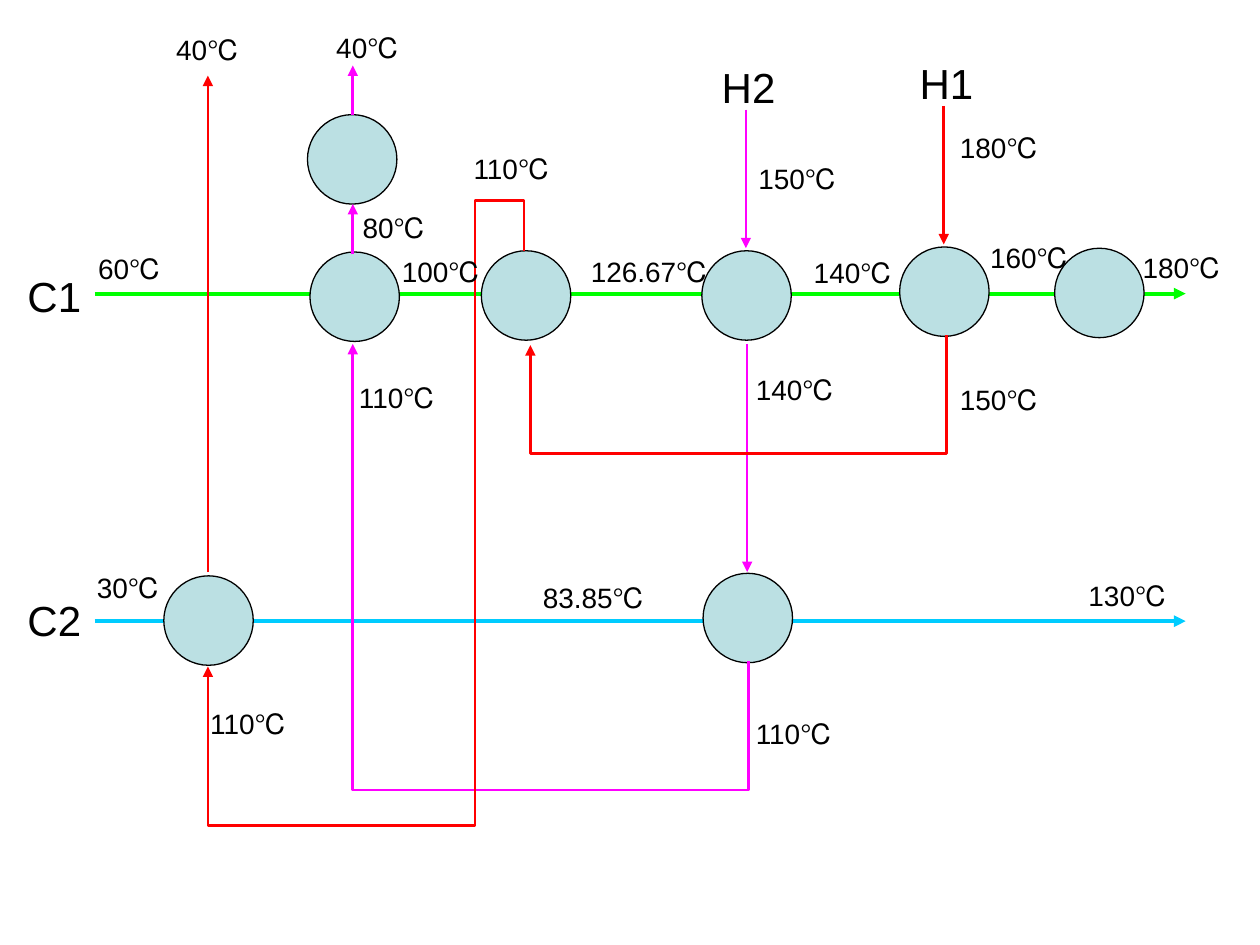
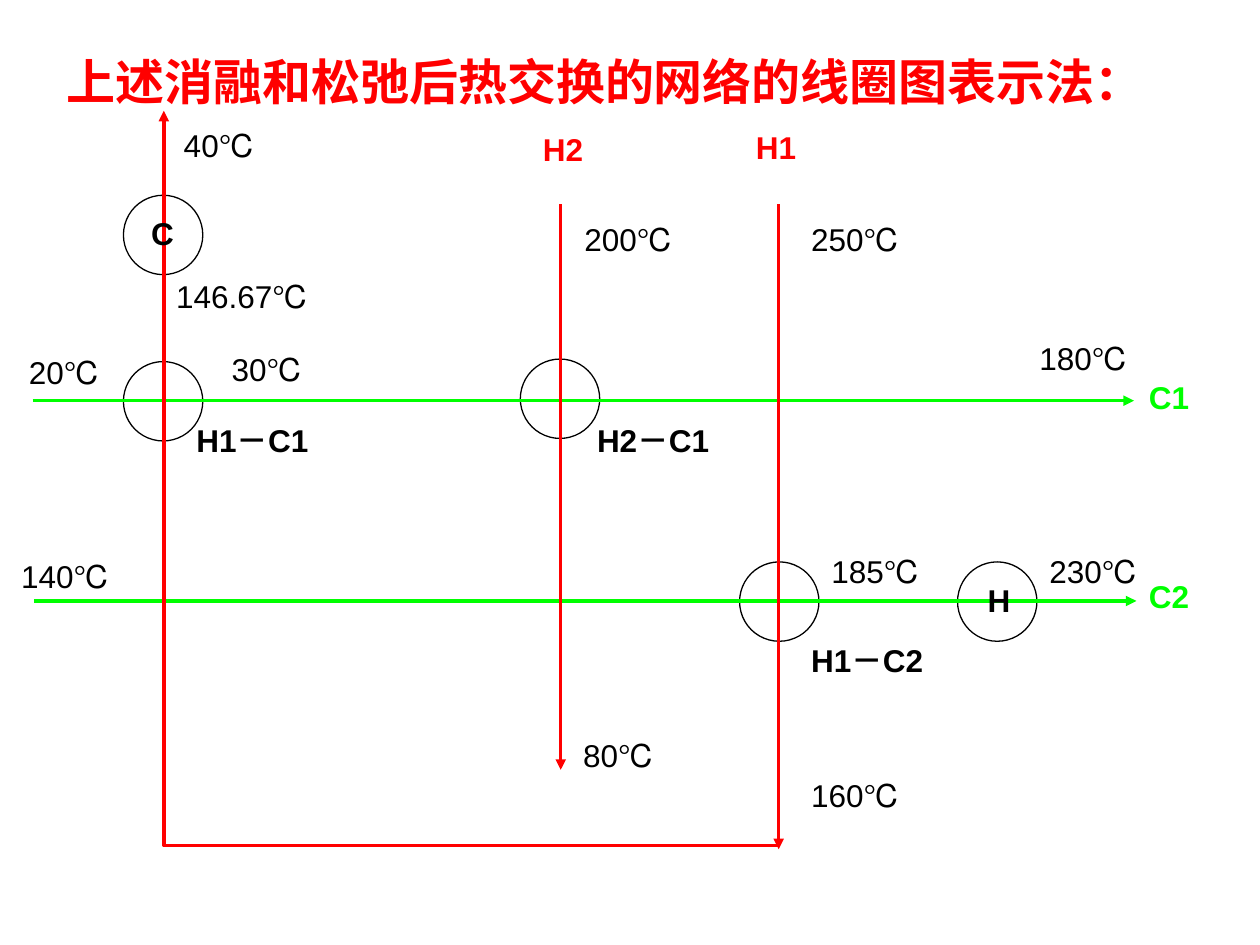
from lxml import etree
from pptx import Presentation
from pptx.dml.color import RGBColor
from pptx.enum.shapes import MSO_CONNECTOR, MSO_SHAPE
from pptx.enum.text import MSO_ANCHOR, MSO_AUTO_SIZE, PP_ALIGN
from pptx.oxml.ns import qn
from pptx.util import Pt

STRAIGHT = MSO_CONNECTOR.STRAIGHT
ELLIPSE = MSO_SHAPE.OVAL
TOP = MSO_ANCHOR.TOP
LEFT = PP_ALIGN.LEFT
GROW = MSO_AUTO_SIZE.SHAPE_TO_FIT_TEXT
FIXED = MSO_AUTO_SIZE.NONE

EMU_PER_PX = 9144
TITLE_ONLY, BLANK = 5, 6
FONT = "Arial"
BLACK, RED, MAGENTA = "000000", "FF0000", "FF00FF"
GREEN, CYAN, PALE = "00FF00", "00CCFF", "BBE0E3"


def px(value):
    return round(value * EMU_PER_PX)


def color(hex_string):
    return RGBColor.from_string(hex_string)


def set_attributes(target, values):
    for name, value in values.items():
        setattr(target, name, value)


class Diagram:
    def __init__(self, presentation, layout, label_size, line_width):
        self.slide = presentation.slides.add_slide(presentation.slide_layouts[layout])
        self.shapes = self.slide.shapes
        self.label_size = label_size
        self.line_width = line_width

    def fill_text(self, shape, text, size, text_color, bold, auto_size):
        frame = shape.text_frame
        set_attributes(frame, {
            "word_wrap": True, "vertical_anchor": TOP, "auto_size": auto_size,
            "margin_left": px(10), "margin_right": px(10),
            "margin_top": px(5), "margin_bottom": px(5),
        })
        frame.text = text
        paragraph = frame.paragraphs[0]
        set_attributes(paragraph, {"alignment": LEFT, "space_before": Pt(0)})
        set_attributes(paragraph.font, {"name": FONT, "size": Pt(size), "bold": bold})
        paragraph.font.color.rgb = color(text_color)

    def title(self, text, left, top, width, height):
        shape = self.shapes.title
        set_attributes(shape, {
            "left": px(left), "top": px(top), "width": px(width), "height": px(height),
        })
        self.fill_text(shape, text, 28, RED, True, FIXED)

    def label(self, text, left, top, width, height, size=None, text_color=BLACK, bold=False):
        shape = self.shapes.add_textbox(px(left), px(top), px(width), px(height))
        self.fill_text(shape, text, size or self.label_size, text_color, bold, GROW)

    def circle(self, left, top, diameter, fill=None):
        shape = self.shapes.add_shape(ELLIPSE, px(left), px(top), px(diameter), px(diameter))
        shape.shadow.inherit = False
        if fill:
            shape.fill.solid()
            shape.fill.fore_color.rgb = color(fill)
        else:
            shape.fill.background()
        self.stroke(shape, BLACK, 0.75)

    def stroke(self, shape, line_color, width):
        shape.line.color.rgb = color(line_color)
        shape.line.width = Pt(width)

    def arrowhead(self, shape):
        outline = shape.line._get_or_add_ln()
        etree.SubElement(outline, qn("a:tailEnd"), type="triangle")

    def arrow(self, start, end, line_color, width=None):
        connector = self.shapes.add_connector(STRAIGHT, *map(px, start + end))
        self.stroke(connector, line_color, width or self.line_width)
        self.arrowhead(connector)
        etree.SubElement(connector._element.spPr, qn("a:effectLst"))

    def bent_arrow(self, points, line_color):
        builder = self.shapes.build_freeform(*points[0], scale=EMU_PER_PX)
        builder.add_line_segments(points[1:], close=False)
        shape = builder.convert_to_shape()
        shape.shadow.inherit = False
        shape.fill.background()
        self.stroke(shape, line_color, self.line_width)
        self.arrowhead(shape)


def build_exchanger_network(presentation):
    diagram = Diagram(presentation, BLANK, 16, 1.5)
    for y, stream_color in [(233, GREEN), (493, CYAN)]:
        diagram.arrow((75, y), (941, y), stream_color, 2.25)

    exchangers = [(714, 196), (837, 197), (382, 199), (130, 457),
                  (557, 199), (558, 455), (246, 200), (244, 91)]
    for left, top in exchangers:
        diagram.circle(left, top, 71, PALE)

    for start, end, stream_color in [
        ((749, 84), (749, 194), RED),
        ((592, 87), (592, 197), MAGENTA),
        ((593, 273), (593, 454), MAGENTA),
        ((280, 202), (280, 162), MAGENTA),
        ((280, 91), (280, 52), MAGENTA),
        ((165, 454), (165, 60), RED),
    ]:
        diagram.arrow(start, end, stream_color)

    for points, stream_color in [
        ([(594, 525), (594, 627), (280, 627), (280, 273)], MAGENTA),
        ([(751, 266), (751, 360), (421, 360), (421, 274)], RED),
        ([(416, 199), (416, 159), (377, 159), (377, 655), (165, 655), (165, 529)], RED),
    ]:
        diagram.bent_arrow(points, stream_color)

    for name, left, top in [("C1", 12, 210), ("C2", 12, 467), ("H1", 720, 41), ("H2", 563, 44)]:
        diagram.label(name, left, top, 87, 50, size=24)

    for text, left, top, width in [
        ("180℃", 752, 99, 115), ("150℃", 752, 299, 115),
        ("140℃", 636, 198, 115), ("160℃", 776, 186, 115),
        ("180℃", 897, 194, 115), ("100℃", 309, 197, 95),
        ("126.67℃", 459, 197, 115), ("150℃", 592, 123, 115),
        ("140℃", 590, 291, 115), ("60℃", 68, 195, 84),
        ("110℃", 366, 115, 95), ("110℃", 157, 556, 95),
        ("40℃", 130, 21, 95), ("30℃", 67, 448, 84),
        ("83.85℃", 421, 456, 102), ("130℃", 854, 454, 102),
        ("110℃", 590, 564, 115), ("110℃", 275, 297, 115),
        ("80℃", 278, 162, 75), ("40℃", 257, 19, 75),
    ]:
        diagram.label(text, left, top, width, 37)


def build_relaxed_network(presentation):
    diagram = Diagram(presentation, TITLE_ONLY, 18, 2)
    diagram.title("上述消融和松弛后热交换的网络的线圈图表示法：", 43, 36, 882, 57)

    for left, top in [(413, 285), (760, 446), (587, 446), (98, 287), (98, 155)]:
        diagram.circle(left, top, 63)

    for start, end, stream_color in [
        ((27, 477), (902, 477), GREEN),
        ((26, 318), (900, 318), GREEN),
        ((618, 162), (618, 674), RED),
        ((445, 162), (445, 611), RED),
    ]:
        diagram.arrow(start, end, stream_color)
    diagram.bent_arrow([(618, 671), (130, 671), (130, 88)], RED)

    for name, left, top, width, name_color in [
        ("H", 774, 456, 55, BLACK), ("C", 110, 165, 55, BLACK),
        ("H2", 421, 98, 79, RED), ("H1", 590, 97, 79, RED),
        ("C1", 902, 295, 79, GREEN), ("C2", 902, 453, 79, GREEN),
    ]:
        diagram.label(name, left, top, width, 40, text_color=name_color, bold=True)

    for match, left, top in [("H1－C2", 634, 504), ("H2－C1", 464, 329), ("H1－C1", 146, 329)]:
        diagram.label(match, left, top, 110, 70, bold=True)

    for text, left, top, width in [
        ("250℃", 634, 170, 110), ("160℃", 634, 611, 110),
        ("185℃", 650, 433, 102), ("230℃", 823, 433, 94),
        ("180℃", 815, 264, 110), ("200℃", 454, 170, 110),
        ("140℃", 7, 437, 110), ("80℃", 453, 579, 110),
        ("146.67℃", 130, 215, 126), ("30℃", 174, 273, 87),
        ("20℃", 13, 275, 85), ("40℃", 136, 95, 79),
    ]:
        diagram.label(text, left, top, width, 40)


def main():
    presentation = Presentation()
    set_attributes(presentation, {"slide_width": px(1000), "slide_height": px(750)})
    build_exchanger_network(presentation)
    build_relaxed_network(presentation)
    presentation.save("out.pptx")


if __name__ == "__main__":
    main()
